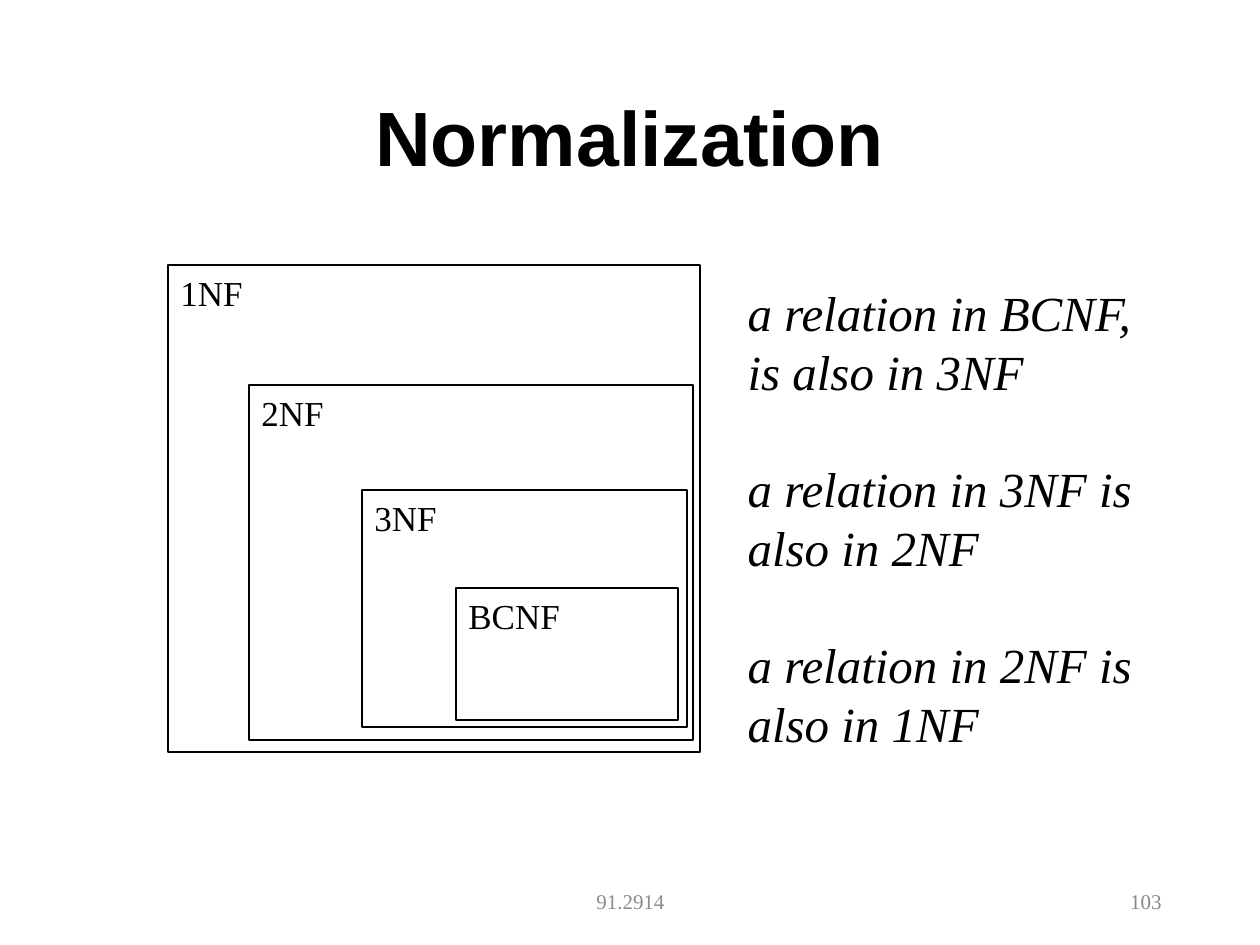
"""Build the slide on nested normal forms."""
from dataclasses import dataclass
from lxml.etree import SubElement
from pptx import Presentation
from pptx.dml.color import RGBColor
from pptx.enum.shapes import MSO_SHAPE
from pptx.enum.text import MSO_ANCHOR, MSO_AUTO_SIZE, PP_ALIGN
from pptx.oxml.ns import qn
from pptx.util import Emu, Pt


@dataclass(frozen=True)
class Theme:
    head: str = "Arial"
    text: str = "Times New Roman"
    ink: str = "000000"
    foot: str = "8C8C8C"
    page: str = "898989"
    title: int = 44
    rule: int = 28
    form: int = 20
    small: int = 12
    pitch: float = 33.6
    line: float = 0.75


THEME = Theme()
TITLE = ("Normalization", (87, 50, 1086, 183))
FORMS = [
    ("BCNF", (456, 588, 222, 132)),
    ("3NF", (362, 490, 325, 237)),
    ("2NF", (249, 385, 444, 355)),
    ("1NF", (168, 265, 532, 487)),
]
RULES = [
    "a relation in BCNF, is also in 3NF",
    "a relation in 3NF is also in 2NF",
    "a relation in 2NF is also in 1NF",
]
RULE_BOX = (735, 276, 410, 460)
FEET = [
    ("91.2914", (431, 876, 399, 50), PP_ALIGN.CENTER, THEME.foot),
    ("103", (890, 876, 284, 50), PP_ALIGN.RIGHT, THEME.page),
]


def emu(box):
    return [Emu(round(n * 914400 / 126)) for n in box]


def place(shape, box):
    shape.left, shape.top, shape.width, shape.height = emu(box)


def style(para, size, color=THEME.ink, face=THEME.text, align=PP_ALIGN.LEFT,
          bold=False, slant=False):
    para.alignment = align
    for run in para.runs:
        font = run.font
        font.name, font.size = face, Pt(size)
        font.bold, font.italic = bold, slant
        font.color.rgb = RGBColor.from_string(color)


def set_frame(shape, text, anchor):
    frame = shape.text_frame
    frame.text = text
    frame.word_wrap = True
    frame.auto_size = MSO_AUTO_SIZE.NONE
    frame.vertical_anchor = anchor
    return frame


def add_title(slide):
    text, box = TITLE
    shape = slide.shapes.title
    place(shape, box)
    para = set_frame(shape, text, MSO_ANCHOR.MIDDLE).paragraphs[0]
    para.line_spacing = 0.9
    style(para, THEME.title, face=THEME.head, align=PP_ALIGN.CENTER, bold=True)


def add_form(slide, text, box):
    shape = slide.shapes.add_shape(MSO_SHAPE.RECTANGLE, *emu(box))
    shape.shadow.inherit = False
    shape.fill.background()
    shape.line.color.rgb = RGBColor.from_string(THEME.ink)
    shape.line.width = Pt(THEME.line)
    style(set_frame(shape, text, MSO_ANCHOR.TOP).paragraphs[0], THEME.form)


def add_rules(slide):
    shape = slide.placeholders[1]
    place(shape, RULE_BOX)
    frame = set_frame(shape, "\n".join(RULES), MSO_ANCHOR.TOP)
    for i, para in enumerate(frame.paragraphs):
        style(para, THEME.rule, slant=True)
        para.line_spacing = Pt(THEME.pitch)
        para.space_before = Pt(THEME.pitch if i else 0)
        props = para._p.get_or_add_pPr()
        props.set("marL", "0")
        props.set("indent", "0")
        SubElement(props, qn("a:buNone"))


def add_foot(slide, text, box, align, color):
    shape = slide.shapes.add_textbox(*emu(box))
    para = set_frame(shape, text, MSO_ANCHOR.MIDDLE).paragraphs[0]
    style(para, THEME.small, color, align=align)


def main():
    deck = Presentation()
    deck.slide_width, deck.slide_height = emu((1260, 945))
    slide = deck.slides.add_slide(deck.slide_layouts[1])
    add_title(slide)
    for foot in FEET:
        add_foot(slide, *foot)
    for form in FORMS:
        add_form(slide, *form)
    add_rules(slide)
    deck.save("out.pptx")


if __name__ == "__main__":
    main()
